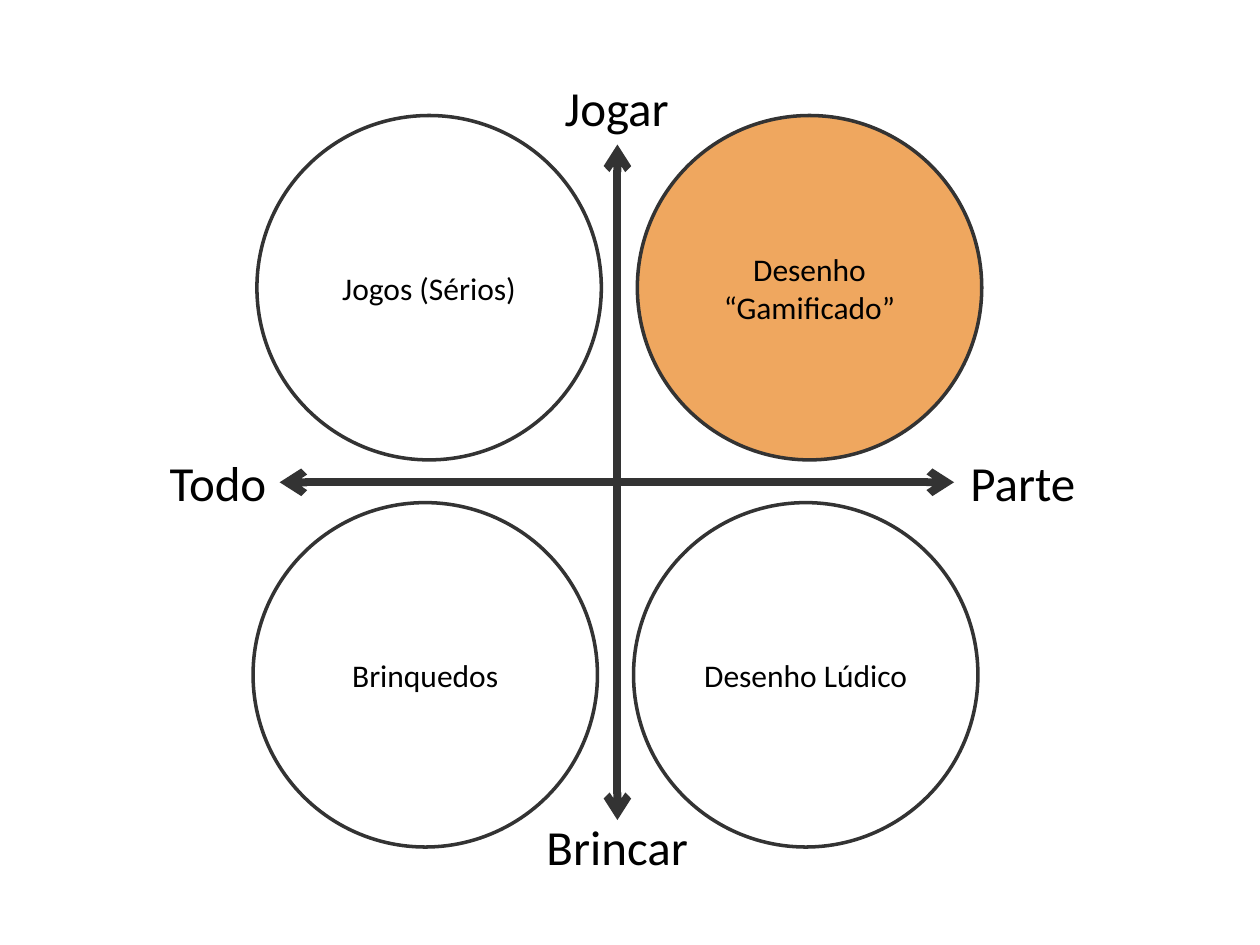
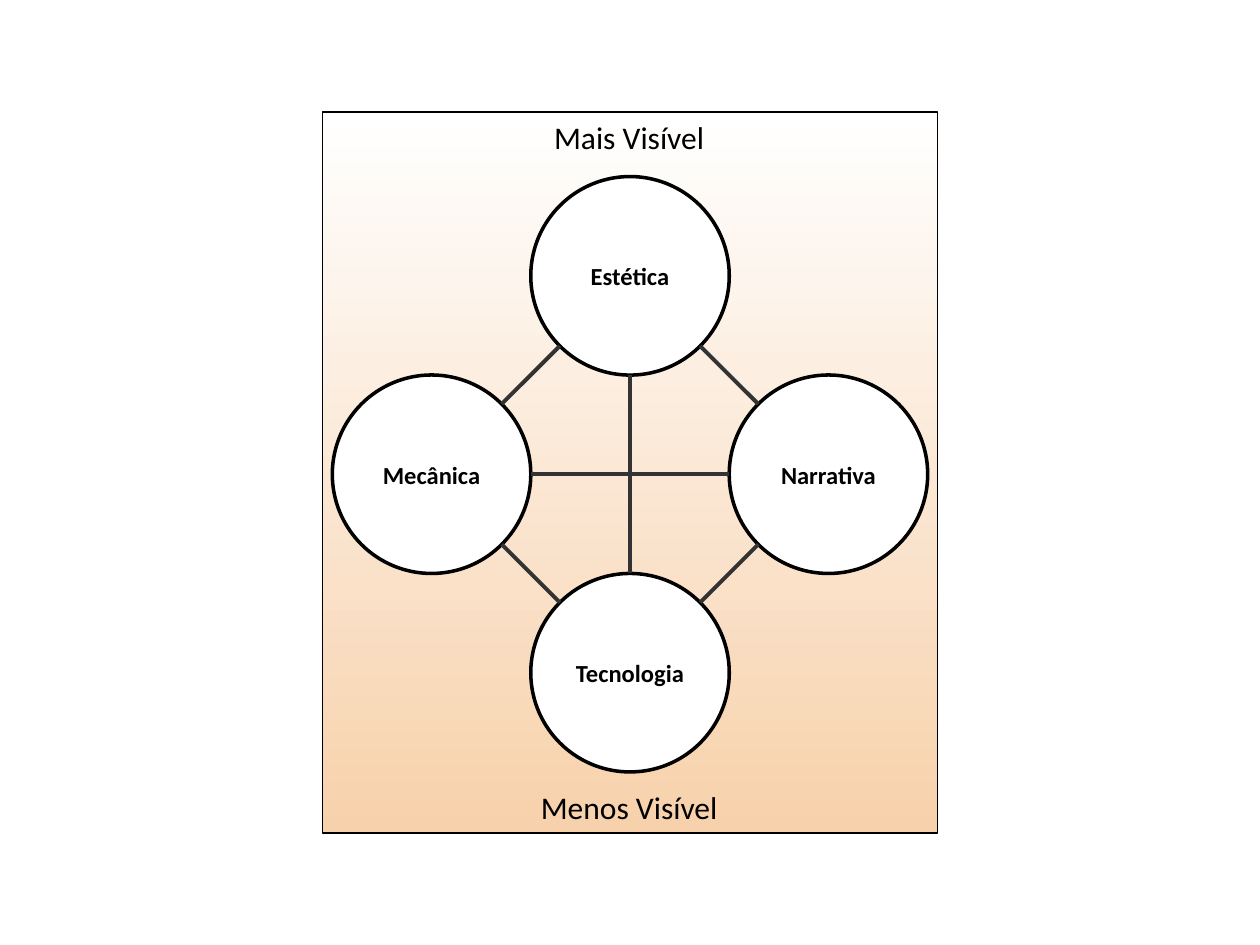
"""Build two slides on game design: a quadrant of playful forms and the four game elements."""
from itertools import combinations
from math import hypot

from lxml import etree
from pptx import Presentation
from pptx import util as u
from pptx.dml import color
from pptx.enum import shapes, text
from pptx.oxml import ns

COLORS = {
    "ink": "000000",
    "line": "333333",
    "paper": "FFFFFF",
    "accent": "EFA75F",
    "glow": "F7D1AB",
}
RGB = {name: color.RGBColor.from_string(value) for name, value in COLORS.items()}


def add_label(page, kind, words, frame, fill=None, outline=None, weight=2, **font):
    lengths = [u.Pt(length) for length in frame]
    if kind is None:
        box = page.shapes.add_textbox(*lengths)
    else:
        box = page.shapes.add_shape(kind, *lengths)
        box.shadow.inherit = False
        box.line.color.rgb = RGB[outline]
        box.line.width = u.Pt(weight)
        if fill:
            box.fill.solid()
            box.fill.fore_color.rgb = RGB[fill]
        else:
            box.fill.background()
    if words:
        box.text_frame.word_wrap = kind is not None
        if kind is not None:
            box.text_frame.vertical_anchor = text.MSO_ANCHOR.MIDDLE
        para = box.text_frame.paragraphs[0]
        para.alignment = text.PP_ALIGN.CENTER
        span = para.add_run()
        span.text = words
        span.font.color.rgb = RGB["ink"]
        for name, value in {"name": "Calibri", **font}.items():
            setattr(span.font, name, value)
    return box


def add_line(page, points, weight, arrows=False):
    line = page.shapes.add_connector(
        shapes.MSO_CONNECTOR.STRAIGHT, *[u.Pt(round(value, 2)) for value in points]
    )
    line.line.color.rgb = RGB["line"]
    line.line.width = u.Pt(weight)
    if arrows:
        outline = line.line._get_or_add_ln()
        for end in ("a:headEnd", "a:tailEnd"):
            etree.SubElement(outline, ns.qn(end), type="arrow")
    etree.SubElement(line._element.spPr, ns.qn("a:effectLst"))


deck = Presentation()
deck.slide_width, deck.slide_height = u.Pt(720), u.Pt(540)
blank = deck.slide_layouts[6]
circle = shapes.MSO_SHAPE.OVAL

page = deck.slides.add_slide(blank)
axis_x, axis_y, reach = 352.8, 275.6, 193
add_line(page, (axis_x, axis_y - reach, axis_x, axis_y + reach), 4.5, arrows=True)
add_line(page, (axis_x + reach - 0.6, axis_y, axis_x - reach, axis_y), 4.5, arrows=True)

size, column_step = 196.8, 217.4
rows = [
    (144.6, 287.2, [("Brinquedos", None), ("Desenho Lúdico", None)]),
    (146.8, 66, [("Jogos (Sérios)", None), ("Desenho “Gamificado”", "accent")]),
]
for left, top, forms in rows:
    for column, (words, fill) in enumerate(forms):
        frame = (left + column * column_step, top, size, size)
        add_label(page, circle, words, frame, fill, "line", size=u.Pt(18))

poles = [
    ("Jogar", 315.3, 41, 74.2),
    ("Brincar", 304.4, 463, 96.5),
    ("Parte", 547, 254.9, 75),
    ("Todo", 89.2, 254.9, 70.6),
]
for words, left, top, width in poles:
    add_label(page, None, words, (left, top, width, 41), size=u.Pt(28))

page = deck.slides.add_slide(blank)
panel = add_label(
    page, shapes.MSO_SHAPE.RECTANGLE, "", (184.3, 64, 351.4, 412),
    outline="ink", weight=0.75,
)
panel.fill.gradient()
panel.fill.gradient_angle = 90
for stop, name in zip(panel.fill.gradient_stops, ("glow", "paper")):
    stop.color.rgb = RGB[name]

size, center_x, center_y = 113.4, 360, 271
elements = [
    ("Estética", 0, -1),
    ("Mecânica", -1, 0),
    ("Narrativa", 1, 0),
    ("Tecnologia", 0, 1),
]
centers = []
for words, across, down in elements:
    x, y = center_x + across * size, center_y + down * size
    centers.append((x, y))
    frame = (x - size / 2, y - size / 2, size, size)
    add_label(page, circle, words, frame, "paper", "ink", size=u.Pt(14), bold=True)

for (x1, y1), (x2, y2) in combinations(centers, 2):
    share = size / 2 / hypot(x2 - x1, y2 - y1)
    dx, dy = (x2 - x1) * share, (y2 - y1) * share
    add_line(page, (x1 + dx, y1 + dy, x2 - dx, y2 - dy), 2.25)

for words, top, width in [("Mais Visível", 64, 101.5), ("Menos Visível", 447, 116.6)]:
    frame = (center_x - 0.5 - width / 2, top, width, 29)
    add_label(page, None, words, frame, size=u.Pt(18))

deck.save("out.pptx")
